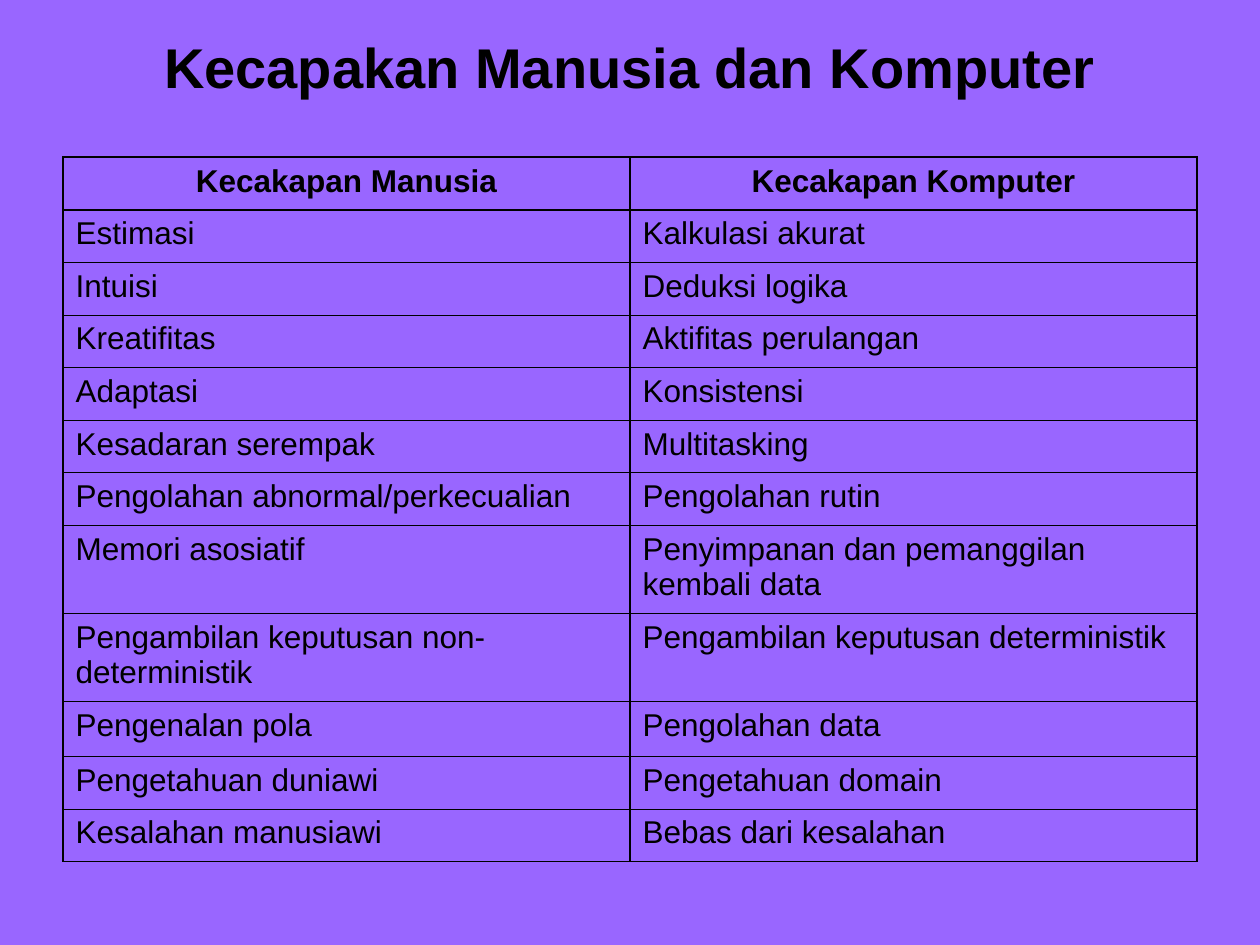
from dataclasses import dataclass

from lxml import etree
from pptx import Presentation
from pptx.dml.color import RGBColor
from pptx.enum import text
from pptx.oxml import ns
from pptx.util import Cm, Pt


@dataclass(frozen=True)
class Theme:
    background: str = "9966FF"
    ink: str = "000000"
    font: str = "Arial"
    title_size: float = 32
    table_size: float = 18
    space_before: float = 4.5
    outer_line: float = 1.08
    strong_line: float = 1.47
    thin_line: float = 0.45


THEME = Theme()
TITLE = "Kecapakan Manusia dan Komputer"
SKILLS = [
    ("Kecakapan Manusia", "Kecakapan Komputer"),
    ("Estimasi", "Kalkulasi akurat"),
    ("Intuisi", "Deduksi logika"),
    ("Kreatifitas", "Aktifitas perulangan"),
    ("Adaptasi", "Konsistensi"),
    ("Kesadaran serempak", "Multitasking"),
    ("Pengolahan abnormal/perkecualian", "Pengolahan rutin"),
    ("Memori asosiatif", "Penyimpanan dan pemanggilan kembali data"),
    ("Pengambilan keputusan non-deterministik", "Pengambilan keputusan deterministik"),
    ("Pengenalan pola", "Pengolahan data"),
    ("Pengetahuan duniawi", "Pengetahuan domain"),
    ("Kesalahan manusiawi", "Bebas dari kesalahan"),
]
ROW_HEIGHT = 1.06
SPECIAL_HEIGHTS = {7: 1.77, 8: 1.77, 9: 1.1}


def apply(target, values):
    for name, value in values.items():
        setattr(target, name, value)


def write(frame, wording, size, bold, align, before=0):
    paragraph = frame.paragraphs[0]
    apply(paragraph, {"alignment": align, "space_before": Pt(before)})
    run = paragraph.add_run()
    run.text = wording
    apply(run.font, {"name": THEME.font, "size": Pt(size), "bold": bold})
    run.font.color.rgb = RGBColor.from_string(THEME.ink)


def set_borders(cell, widths):
    properties = cell._tc.get_or_add_tcPr()
    for position, (side, width) in enumerate(widths.items()):
        line = etree.Element(ns.qn(f"a:ln{side}"), w=str(Pt(width)))
        fill = etree.SubElement(line, ns.qn("a:solidFill"))
        etree.SubElement(fill, ns.qn("a:srgbClr"), val=THEME.ink)
        properties.insert(position, line)


def add_title(slide, left, top, width, height):
    heading = slide.shapes.add_textbox(Cm(left), Cm(top), Cm(width), Cm(height))
    apply(heading.text_frame, {"word_wrap": True, "vertical_anchor": text.MSO_ANCHOR.MIDDLE})
    write(heading.text_frame, TITLE, THEME.title_size, True, text.PP_ALIGN.CENTER)


def add_comparison(slide, left, top, width):
    heights = [SPECIAL_HEIGHTS.get(index, ROW_HEIGHT) for index in range(len(SKILLS))]
    columns = len(SKILLS[0])
    comparison = slide.shapes.add_table(
        len(SKILLS), columns, Cm(left), Cm(top), Cm(width), Cm(sum(heights))
    ).table
    apply(comparison, {"first_row": False, "horz_banding": False})
    for column in comparison.columns:
        column.width = Cm(width / columns)

    row_lines = [THEME.outer_line, THEME.strong_line]
    row_lines += [THEME.thin_line] * (len(SKILLS) - 2) + [THEME.outer_line]
    column_lines = [THEME.outer_line, THEME.strong_line, THEME.outer_line]
    for r, skills in enumerate(SKILLS):
        comparison.rows[r].height = Cm(heights[r])
        header = r == 0
        align = text.PP_ALIGN.CENTER if header else text.PP_ALIGN.LEFT
        for c, skill in enumerate(skills):
            cell = comparison.cell(r, c)
            cell.fill.background()
            set_borders(cell, {
                "L": column_lines[c],
                "R": column_lines[c + 1],
                "T": row_lines[r],
                "B": row_lines[r + 1],
            })
            write(cell.text_frame, skill, THEME.table_size, header, align, THEME.space_before)


def main():
    deck = Presentation()
    apply(deck, {"slide_width": Cm(25.4), "slide_height": Cm(19.05)})
    slide = deck.slides.add_slide(deck.slide_layouts[6])
    slide.background.fill.solid()
    slide.background.fill.fore_color.rgb = RGBColor.from_string(THEME.background)
    add_title(slide, 1.27, 0.76, 22.86, 1.14)
    add_comparison(slide, 1.27, 3.17, 22.86)
    deck.save("out.pptx")


if __name__ == "__main__":
    main()
